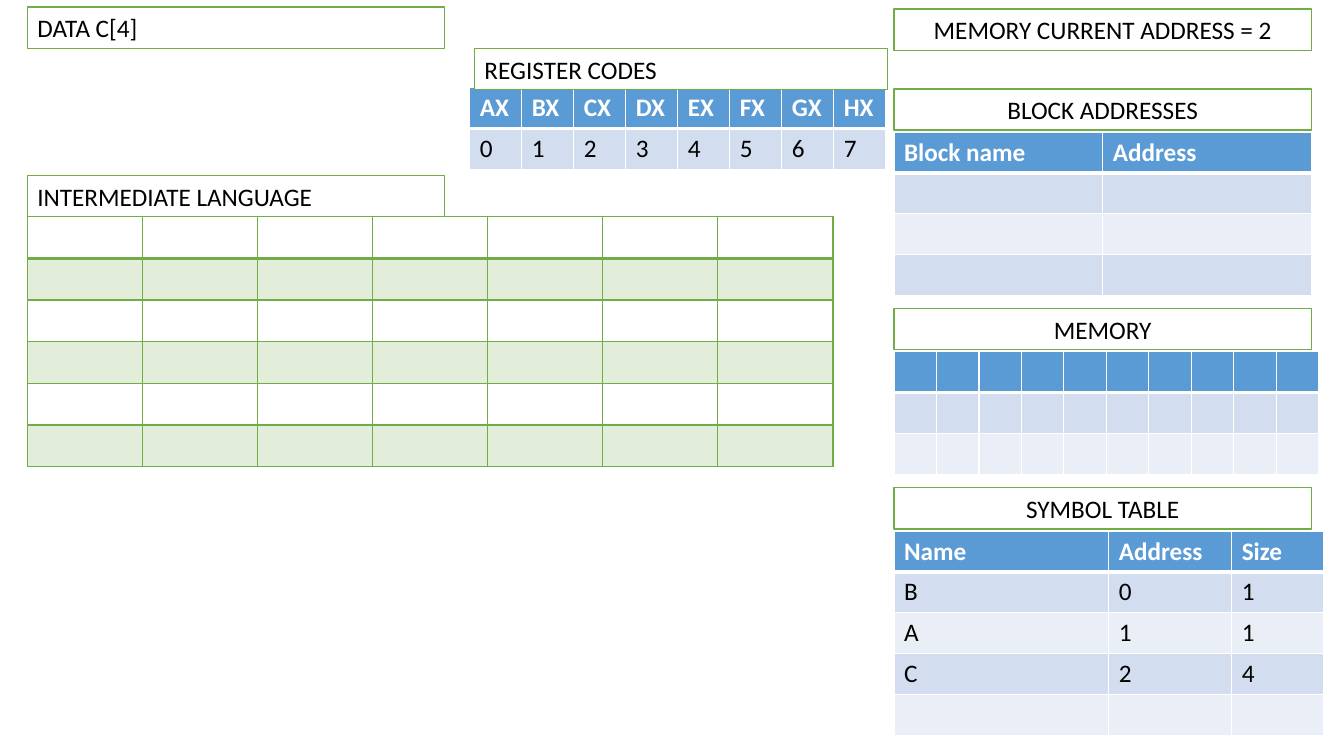
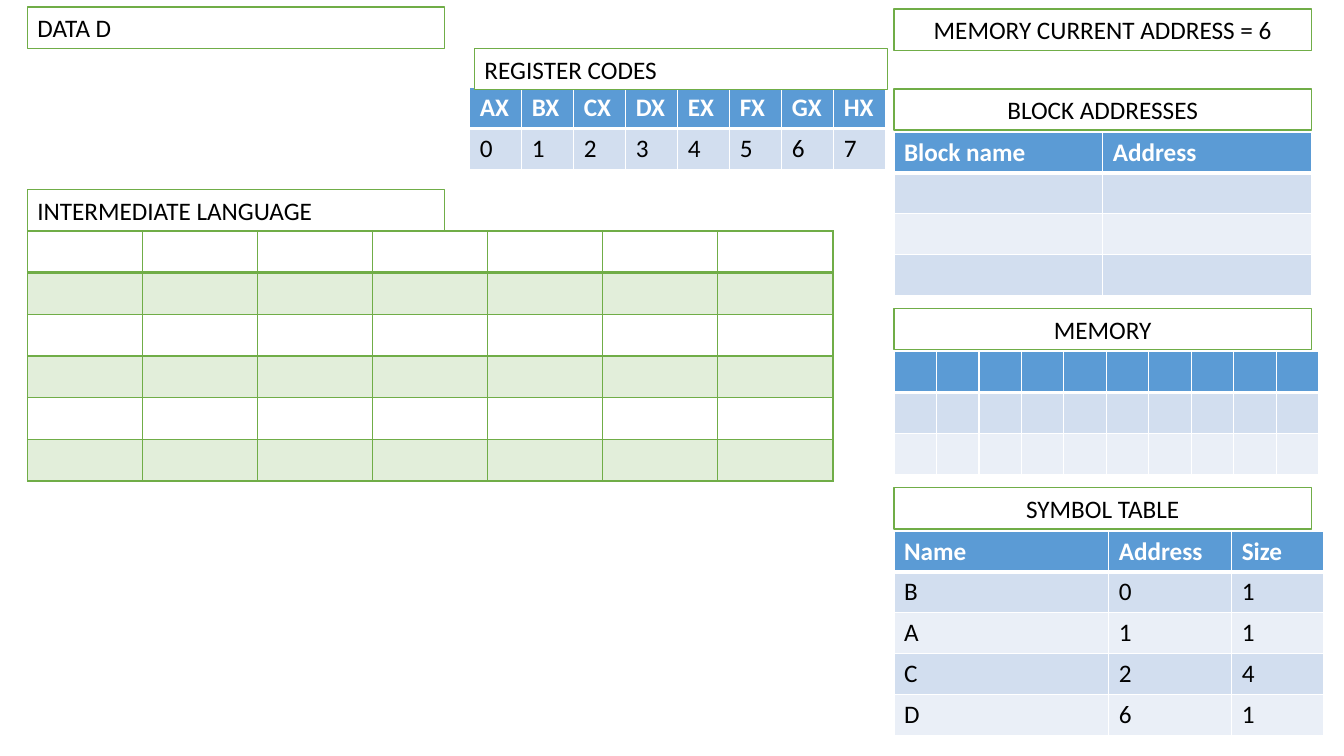
import pptx
import pptx.dml.color
import pptx.enum.shapes
import pptx.enum.text
import pptx.util
from lxml import etree
from pptx.oxml.ns import qn

Cm, Pt = pptx.util.Cm, pptx.util.Pt
ALIGN = pptx.enum.text.PP_ALIGN

COLORS = {"white": "FFFFFF", "black": "000000", "green": "70AD47",
          "header": "5B9BD5", "odd": "D2DEEF", "even": "EAEFF7"}

# Fill is (colour, opacity in %) or None; header_rule is the line under row 0.
BLUE = {"border": "white", "header_rule": 3, "header": ("header", 100),
        "odd": ("odd", 100), "even": ("even", 100)}
GREEN = {"border": "green", "header_rule": 2, "header": None,
         "odd": ("green", 20), "even": None}

LEFT_X, RIGHT_X = 0.69, 22.53
LABEL_W, LABEL_H = 10.52, 1.04
ROW_H = 1.03


def rgb(name):
    return pptx.dml.color.RGBColor.from_string(COLORS[name])


class Deck:
    font, size = "Calibri", 18

    def __init__(self):
        self.prs = pptx.Presentation()
        self.prs.slide_width, self.prs.slide_height = Cm(33.87), Cm(19.05)
        self.s = None

    def add_slide(self, title):
        self.s = self.prs.slides.add_slide(self.prs.slide_layouts[5])
        self.style_label(self.s.shapes.title, title, LEFT_X, 0.18, LABEL_W, ALIGN.LEFT)

    def add_text(self, p, text, color="black", bold=False):
        r = p.add_run()
        r.text = text
        r.font.name, r.font.size, r.font.bold = self.font, Pt(self.size), bold
        r.font.color.rgb = rgb(color)

    def style_label(self, sp, text, x, y, w, align):
        """Place a shape as a white box with a green outline and one line of text."""
        sp.left, sp.top, sp.width, sp.height = Cm(x), Cm(y), Cm(w), Cm(LABEL_H)
        sp.fill.solid()
        sp.fill.fore_color.rgb = rgb("white")
        sp.line.color.rgb = rgb("green")
        sp.line.width = Pt(1)
        tf = sp.text_frame
        tf.word_wrap = True
        tf.auto_size = pptx.enum.text.MSO_AUTO_SIZE.NONE
        tf.vertical_anchor = pptx.enum.text.MSO_ANCHOR.MIDDLE
        p = tf.paragraphs[0]
        p.alignment = align
        self.add_text(p, text)

    def label(self, text, x, y, w=LABEL_W, align=ALIGN.CENTER):
        sp = self.s.shapes.add_shape(
            pptx.enum.shapes.MSO_SHAPE.RECTANGLE, Cm(x), Cm(y), Cm(w), Cm(LABEL_H))
        sp.shadow.inherit = False
        self.style_label(sp, text, x, y, w, align)

    def style_cell(self, cell, row, style):
        tc_pr = cell._tc.get_or_add_tcPr()
        rule = style["header_rule"]
        widths = {"lnL": 1, "lnR": 1, "lnT": rule if row == 1 else 1,
                  "lnB": rule if row == 0 else 1}
        for side, width in widths.items():
            ln = etree.SubElement(tc_pr, qn(f"a:{side}"), w=str(Pt(width)))
            fill = etree.SubElement(ln, qn("a:solidFill"))
            etree.SubElement(fill, qn("a:srgbClr"), val=COLORS[style["border"]])
        paint = style["header" if row == 0 else "odd" if row % 2 else "even"]
        if paint is None:
            cell.fill.background()
            return
        color, opacity = paint
        cell.fill.solid()
        cell.fill.fore_color.rgb = rgb(color)
        if opacity < 100:
            clr = tc_pr.find(f"{qn('a:solidFill')}/{qn('a:srgbClr')}")
            etree.SubElement(clr, qn("a:alpha"), val=str(opacity * 1000))

    def table(self, x, y, cols, rows, style=BLUE, row_h=ROW_H):
        """Add a table; cols are widths in cm and rows are lists of texts."""
        table = self.s.shapes.add_table(
            len(rows), len(cols), Cm(x), Cm(y), Cm(sum(cols)), Cm(row_h * len(rows))).table
        table.horz_banding = False
        for column, width in zip(table.columns, cols):
            column.width = Cm(width)
        for i, texts in enumerate(rows):
            table.rows[i].height = Cm(row_h)
            for j in range(len(cols)):
                cell = table.cell(i, j)
                self.style_cell(cell, i, style)
                if j < len(texts):
                    self.add_text(cell.text_frame.paragraphs[0], texts[j],
                                  "black" if i else "white", bold=i == 0)

    def right_panel(self, text, y, cols, rows):
        self.table(RIGHT_X, y + LABEL_H + 0.05, cols, rows)
        self.label(text, RIGHT_X, y)


def compiler_state(deck, data, address, symbols, language_y):
    deck.add_slide(f"DATA {data}")
    deck.label(f"MEMORY CURRENT ADDRESS = {address}", RIGHT_X, 0.23)

    registers = [f"{letter}X" for letter in "ABCDEFGH"]
    codes = [str(code) for code in range(len(registers))]
    deck.table(11.84, 2.21, [1.31] * len(registers), [registers, codes])
    deck.label("REGISTER CODES", 11.96, 1.22, 10.41, ALIGN.LEFT)

    deck.table(LEFT_X, language_y + LABEL_H, [2.9] * 7, [[]] * 6, GREEN, 1.05)
    deck.label("INTERMEDIATE LANGUAGE", LEFT_X, language_y, align=ALIGN.LEFT)

    deck.right_panel("BLOCK ADDRESSES", 2.24, [LABEL_W / 2] * 2,
                     [["Block name", "Address"], [], [], []])
    deck.right_panel("MEMORY", 7.77, [1.07] * 10, [[]] * 3)
    spare_rows = [[]] * (4 - len(symbols))
    deck.right_panel("SYMBOL TABLE", 12.29, [5.41, 3.1, 2.31],
                     [["Name", "Address", "Size"]] + symbols + spare_rows)


def main():
    deck = Deck()
    symbols = [["B", "0", "1"], ["A", "1", "1"], ["C", "2", "4"]]
    compiler_state(deck, "C[4]", 2, symbols, 4.42)
    compiler_state(deck, "D", 6, symbols + [["D", "6", "1"]], 4.78)
    deck.prs.save("out.pptx")


if __name__ == "__main__":
    main()
